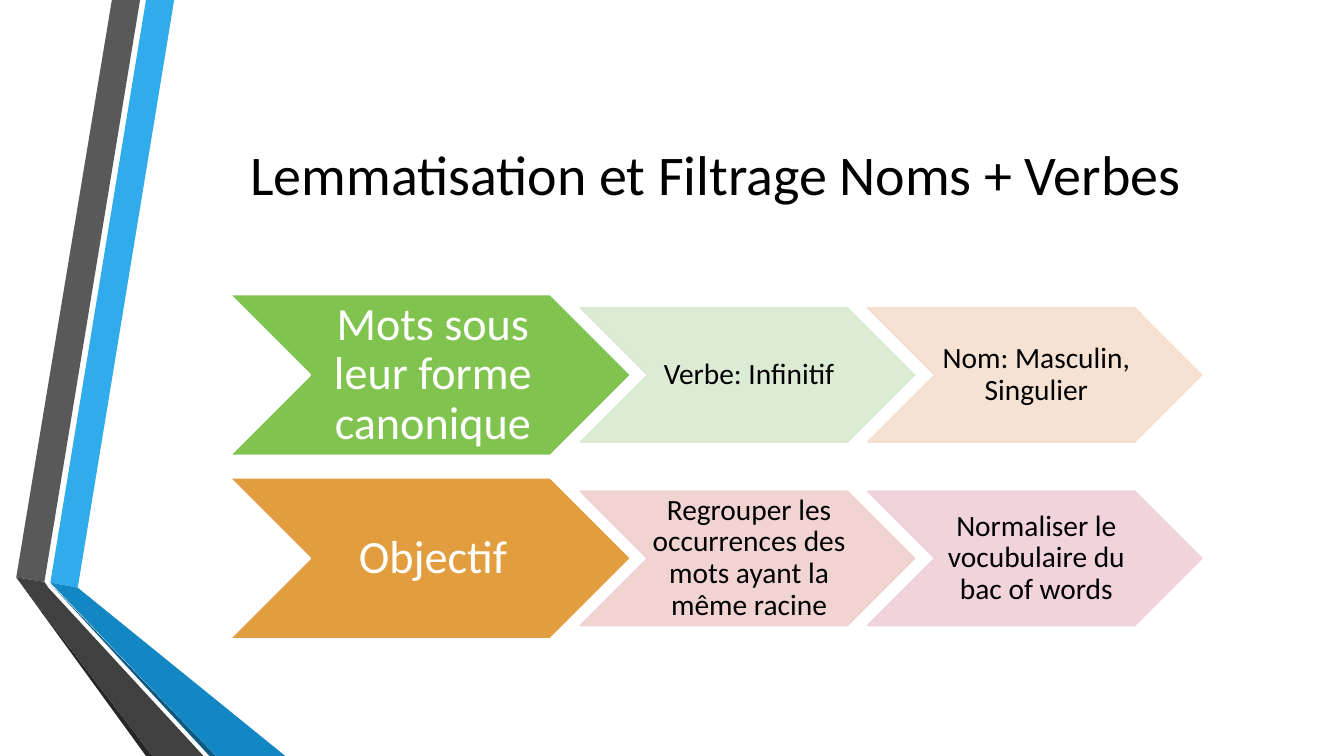
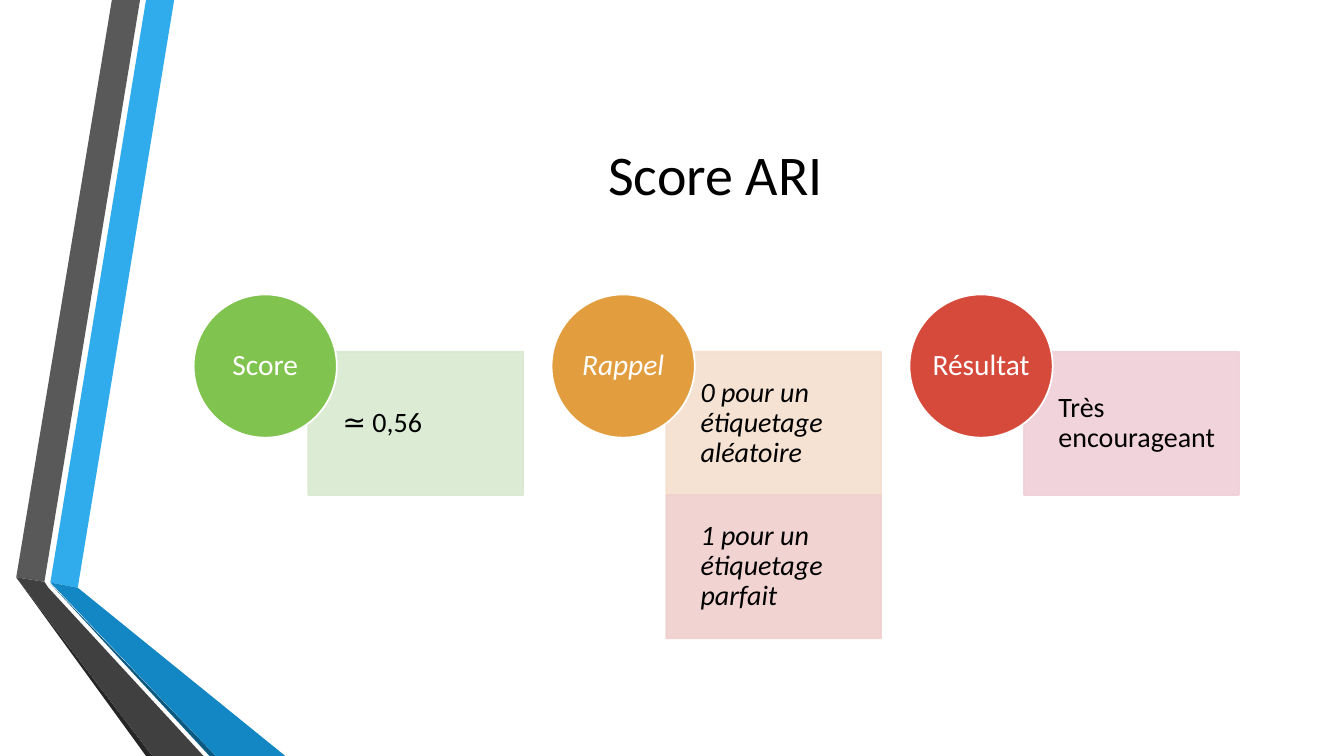
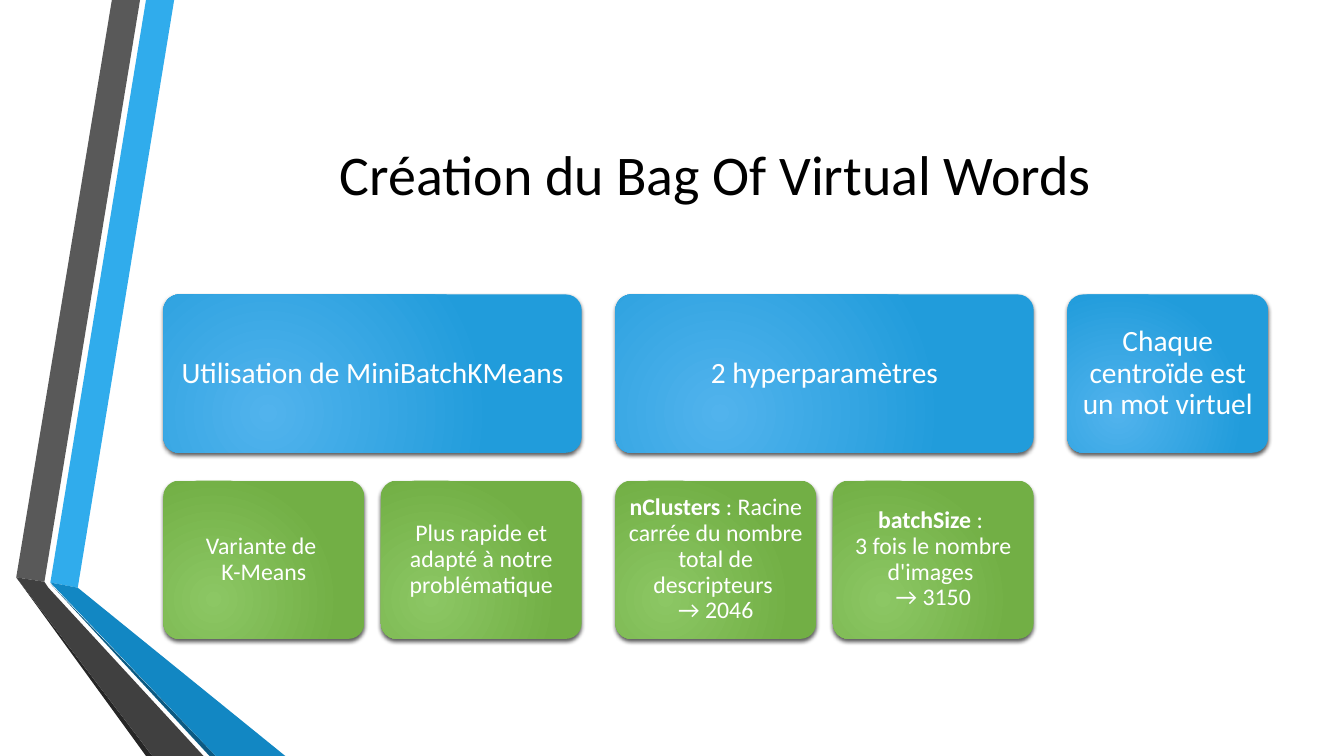
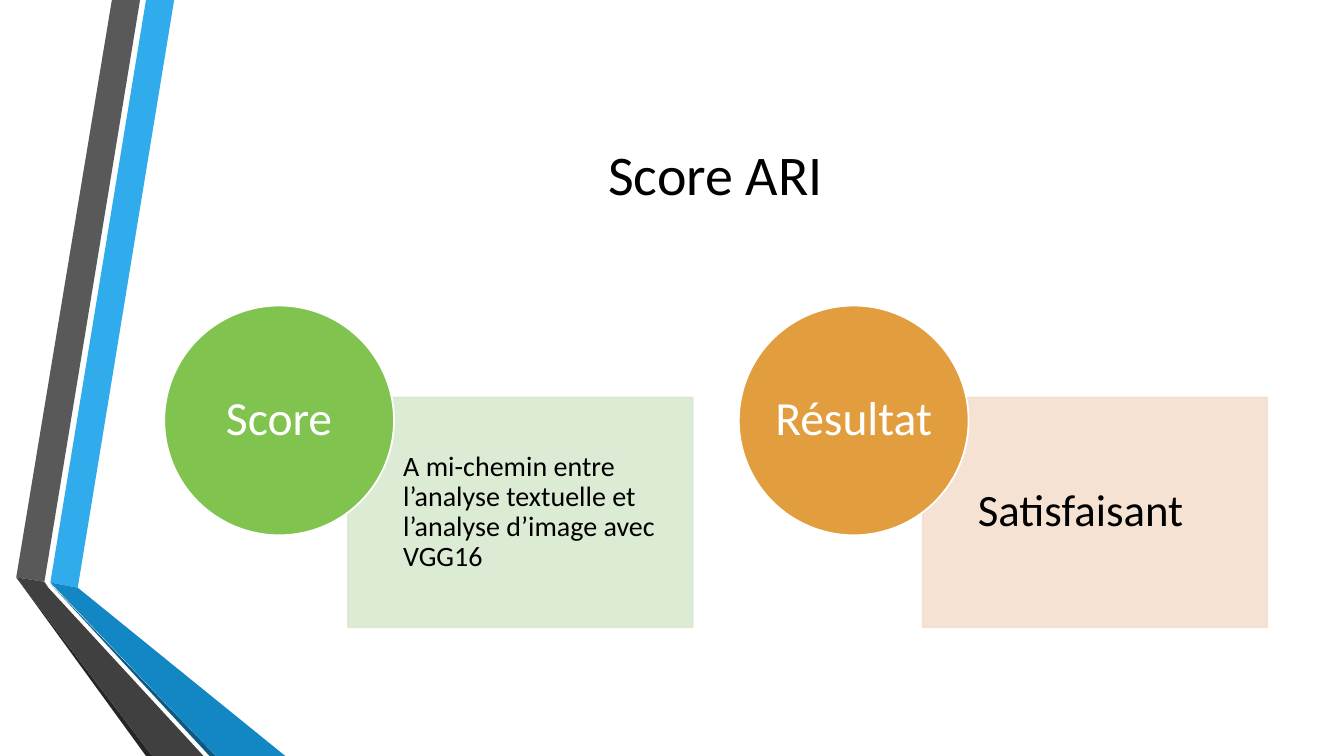
"""Build four slides on text lemmatisation, ARI scores and virtual words."""

from dataclasses import dataclass

from lxml import etree
from pptx import Presentation
from pptx.dml.color import RGBColor
from pptx.enum.shapes import MSO_SHAPE
from pptx.enum.text import MSO_ANCHOR, PP_ALIGN
from pptx.oxml import parse_xml
from pptx.oxml.ns import nsdecls, qn
from pptx.util import Cm, Pt

CHEVRON = MSO_SHAPE.CHEVRON
OVAL = MSO_SHAPE.OVAL
RECTANGLE = MSO_SHAPE.RECTANGLE
ROUNDED = MSO_SHAPE.ROUNDED_RECTANGLE
MIDDLE = MSO_ANCHOR.MIDDLE
CENTER = PP_ALIGN.CENTER
LEFT = PP_ALIGN.LEFT

FONT = "Calibri"
BLACK, WHITE = "000000", "FFFFFF"
GREEN, ORANGE, RED = "80C34F", "E29D3E", "D64A3B"
PALE_GREEN, PALE_ORANGE, PALE_RED, PALE_PINK = "D8E9D0", "F4DFCE", "F0D0CE", "F0CFD9"
BLUE_GLOW = ("51B3ED", "219CDB")
GREEN_GLOW = ("8CC764", "72AF45")

SLIDE_W, SLIDE_H = 33.87, 19.05
CONTENT_TOP = 7.42


@dataclass(frozen=True)
class Box:
    """Position and size in centimetres."""

    x: float
    y: float
    w: float
    h: float


@dataclass(frozen=True)
class Label:
    """Text with its style; the lead comes first in bold."""

    text: str
    size: float
    color: str = BLACK
    italic: bool = False
    lead: str = ""


@dataclass(frozen=True)
class Band:
    """Filled outline of the side decoration, in centimetres."""

    color: str
    points: tuple[tuple[float, float], ...]


@dataclass(frozen=True)
class Note:
    """Pale box with its text."""

    text: str
    color: str
    size: float = 20


@dataclass(frozen=True)
class Topic:
    """Coloured lead shape with the notes that belong to it."""

    text: str
    color: str
    notes: tuple[Note, ...]
    italic: bool = False


@dataclass(frozen=True)
class Branch:
    """Heading card with the cards under it, each a bold lead and a text."""

    text: str
    cards: tuple[tuple[str, str], ...] = ()


BANDS = (
    Band("30ACEC", ((1.27, 14.68), (1.96, 14.81), (4.39, 0), (3.68, 0))),
    Band("595959", ((3.53, 0), (2.82, 0), (0.41, 14.55), (1.12, 14.66))),
    Band("262626", ((0.41, 14.55), (3.68, SLIDE_H), (3.84, SLIDE_H))),
    Band("0C5A82", ((1.27, 14.71), (5.28, SLIDE_H), (5.44, SLIDE_H))),
    Band("1287C3", ((1.27, 14.68), (5.44, SLIDE_H), (7.19, SLIDE_H), (1.96, 14.81))),
    Band("404040", ((5.13, SLIDE_H), (1.22, 14.81), (1.12, 14.66), (0.41, 14.55), (3.84, SLIDE_H))),
)

LEMMA_ROWS = (
    Topic("Mots sous leur forme canonique", GREEN, (
        Note("Verbe: Infinitif", PALE_GREEN, 21),
        Note("Nom: Masculin, Singulier", PALE_ORANGE, 21),
    )),
    Topic("Objectif", ORANGE, (
        Note("Regrouper les occurrences des mots ayant la même racine", PALE_RED, 21),
        Note("Normaliser le vocubulaire du bac of words", PALE_PINK, 21),
    )),
)

TEXT_SCORE = (
    Topic("Score", GREEN, (Note("≃ 0,56", PALE_GREEN),)),
    Topic("Rappel", ORANGE, (
        Note("0 pour un étiquetage aléatoire", PALE_ORANGE),
        Note("1 pour un étiquetage parfait", PALE_RED),
    ), italic=True),
    Topic("Résultat", RED, (Note("Très encourageant", PALE_PINK),)),
)

WORD_BRANCHES = (
    Branch("Utilisation de MiniBatchKMeans", (
        ("", "Variante de \nK-Means"),
        ("", "Plus rapide et adapté à notre problématique"),
    )),
    Branch("2 hyperparamètres", (
        ("nClusters", " : Racine carrée du nombre total de descripteurs \n→ 2046"),
        ("batchSize", " : \n3 fois le nombre d'images \n→ 3150"),
    )),
    Branch("Chaque centroïde est un mot virtuel"),
)

IMAGE_SCORE = (
    Topic("Score", GREEN, (
        Note("A mi-chemin entre l’analyse textuelle et \nl’analyse d’image avec VGG16", PALE_GREEN),
    )),
    Topic("Résultat", ORANGE, (Note("Satisfaisant", PALE_ORANGE, 32),)),
)


def rgb(color: str) -> RGBColor:
    """Turn a hex string into a colour."""
    return RGBColor.from_string(color)


def write(s, label: Label, align=CENTER, insets=(0, 0, 0, 0), spacing: float = 0.9) -> None:
    """Write a label into a shape; insets run left, top, right, bottom."""
    tf = s.text_frame
    tf.word_wrap = True
    tf.vertical_anchor = MIDDLE
    tf.margin_left, tf.margin_top, tf.margin_right, tf.margin_bottom = map(Cm, insets)
    p = tf.paragraphs[0]
    p.alignment = align
    p.line_spacing = spacing
    p.font.name = FONT
    p.font.size = Pt(label.size)
    p.font.italic = label.italic
    p.font.color.rgb = rgb(label.color)
    if label.lead:
        r = p.add_run()
        r.text = label.lead
        r.font.bold = True
    for i, line in enumerate(label.text.split("\n")):
        if i:
            p.add_line_break()
        p.add_run().text = line


def add_shape(slide, kind, box: Box):
    """Add a preset shape without a shadow."""
    s = slide.shapes.add_shape(kind, Cm(box.x), Cm(box.y), Cm(box.w), Cm(box.h))
    s.shadow.inherit = False
    return s


def add_solid(slide, kind, box: Box, color: str, line: str = WHITE):
    """Add a shape with one fill colour and a thin line."""
    s = add_shape(slide, kind, box)
    s.fill.solid()
    s.fill.fore_color.rgb = rgb(color)
    s.line.color.rgb = rgb(line)
    s.line.width = Pt(1.25)
    return s


def add_pale(slide, kind, box: Box, color: str):
    """Add a shape whose fill and line are slightly transparent."""
    s = add_solid(slide, kind, box, color, color)
    for clr in s._element.spPr.iter(qn("a:srgbClr")):
        etree.SubElement(clr, qn("a:alpha")).set("val", "90000")
    return s


def add_card(slide, box: Box, glow: tuple[str, str], label: Label, inset: float) -> None:
    """Add a rounded card with a radial gradient and a soft shadow."""
    s = add_shape(slide, ROUNDED, box)
    s.adjustments[0] = 0.1
    s.fill.gradient()
    s.line.fill.background()
    sp_pr = s._element.spPr
    inner, outer = glow
    sp_pr.replace(sp_pr.find(qn("a:gradFill")), parse_xml(
        f'<a:gradFill {nsdecls("a")} rotWithShape="1"><a:gsLst>'
        f'<a:gs pos="0"><a:srgbClr val="{inner}"/></a:gs>'
        f'<a:gs pos="100000"><a:srgbClr val="{outer}"/></a:gs></a:gsLst>'
        '<a:path path="circle"><a:fillToRect l="50000" t="100000" r="100000" b="50000"/>'
        '</a:path></a:gradFill>'
    ))
    sp_pr.find(qn("a:effectLst")).append(parse_xml(
        f'<a:outerShdw {nsdecls("a")} blurRad="38100" dist="25400" dir="5400000" rotWithShape="0">'
        f'<a:srgbClr val="{BLACK}"><a:alpha val="64000"/></a:srgbClr></a:outerShdw>'
    ))
    write(s, label, insets=(inset,) * 4)


def add_band(slide, band: Band) -> None:
    """Draw one piece of the side decoration."""
    start, *rest = [(Cm(x), Cm(y)) for x, y in band.points]
    builder = slide.shapes.build_freeform(*start)
    builder.add_line_segments(rest)
    s = builder.convert_to_shape()
    s.shadow.inherit = False
    s.fill.solid()
    s.fill.fore_color.rgb = rgb(band.color)
    s.line.fill.background()


def add_slide(prs, title: str):
    """Add a slide with the side bands and a centred title."""
    slide = prs.slides.add_slide(prs.slide_layouts[6])
    for band in BANDS:
        add_band(slide, band)
    s = slide.shapes.add_textbox(Cm(4.11), Cm(1.91), Cm(27.84), Cm(4.88))
    write(s, Label(title, 40), insets=(0.25, 0.13, 0.25, 0.13), spacing=1)
    return slide


def add_chevrons(slide, rows: tuple[Topic, ...]) -> None:
    """Draw each topic as a large chevron followed by smaller ones."""
    lead_h, note_h, ratio = 4.06, 3.38, 2.49
    for i, row in enumerate(rows):
        y = CONTENT_TOP + i * 4.62
        s = add_solid(slide, CHEVRON, Box(5.79, y, lead_h * ratio, lead_h), row.color)
        write(s, Label(row.text, 33, WHITE), insets=(0.13, 0.05, 0, 0.05))
        for j, note in enumerate(row.notes):
            box = Box(14.63 + j * 7.24, y + (lead_h - note_h) / 2, note_h * ratio, note_h)
            s = add_pale(slide, CHEVRON, box, note.color)
            write(s, Label(note.text, note.size), insets=(0.08, 0.03, 0, 0.03))


def add_circles(slide, topics: tuple[Topic, ...], x: float, y: float, pitch: float,
                diameter: float, size: float) -> None:
    """Draw each topic as a circle over a stack of pale boxes."""
    for i, topic in enumerate(topics):
        left = x + i * pitch
        width = 1.5 * diameter
        for j, note in enumerate(topic.notes):
            box = Box(left + 0.8 * diameter, y + (0.4 + j) * diameter, width, diameter)
            s = add_pale(slide, RECTANGLE, box, note.color)
            pad = 0.02 * note.size
            write(s, Label(note.text, note.size, italic=topic.italic), LEFT,
                  (0.16 * width, pad, pad, pad))
        s = add_solid(slide, OVAL, Box(left, y, diameter, diameter), topic.color)
        write(s, Label(topic.text, size, WHITE, topic.italic))


def add_branches(slide, branches: tuple[Branch, ...]) -> None:
    """Draw each heading card as wide as the cards under it."""
    card_w, card_h, gap, branch_gap, row_pitch = 5.06, 3.99, 0.42, 0.85, 4.69
    x = 4.12
    for branch in branches:
        count = max(1, len(branch.cards))
        width = count * card_w + (count - 1) * gap
        add_card(slide, Box(x, CONTENT_TOP, width, card_h), BLUE_GLOW,
                 Label(branch.text, 21, WHITE), 0.22)
        for j, (lead, text) in enumerate(branch.cards):
            box = Box(x + j * (card_w + gap), CONTENT_TOP + row_pitch, card_w, card_h)
            add_card(slide, box, GREEN_GLOW, Label(text, 17, WHITE, lead=lead), 0.18)
        x += width + branch_gap


def main() -> None:
    """Build and save the presentation."""
    prs = Presentation()
    prs.slide_width, prs.slide_height = Cm(SLIDE_W), Cm(SLIDE_H)
    add_chevrons(add_slide(prs, "Lemmatisation et Filtrage Noms + Verbes"), LEMMA_ROWS)
    add_circles(add_slide(prs, "Score ARI"), TEXT_SCORE, 4.88, CONTENT_TOP, 9.02, 3.61, 21)
    add_branches(add_slide(prs, "Création du Bag Of Virtual Words"), WORD_BRANCHES)
    add_circles(add_slide(prs, "Score ARI"), IMAGE_SCORE, 4.14, 7.7, 14.48, 5.79, 34)
    prs.save("out.pptx")


if __name__ == "__main__":
    main()
